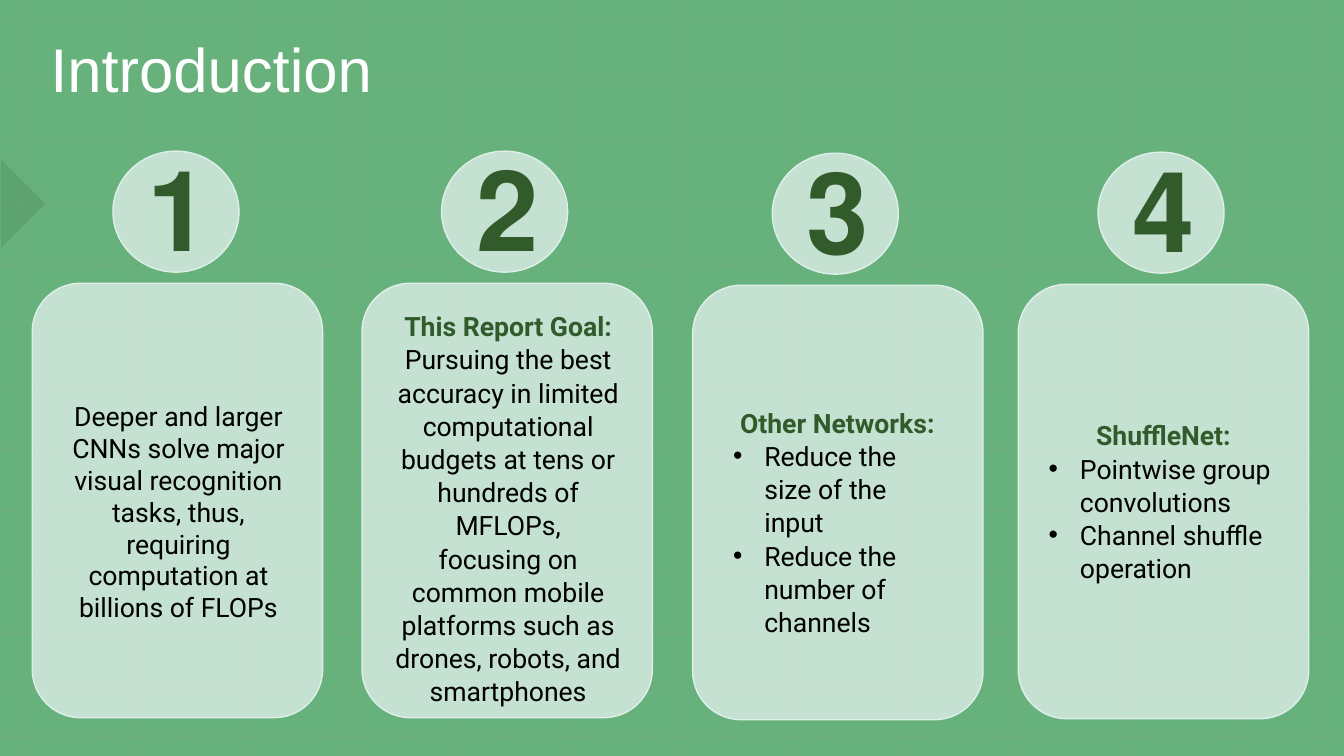
import pptx
import pptx.util
import pptx.oxml
import pptx.oxml.ns
import pptx.dml.color
import pptx.enum.dml
import pptx.enum.shapes
import pptx.enum.text

Inches = pptx.util.Inches
Pt = pptx.util.Pt
SHAPE = pptx.enum.shapes.MSO_SHAPE
ALIGN = pptx.enum.text.PP_ALIGN
ANCHOR = pptx.enum.text.MSO_ANCHOR
FIT = pptx.enum.text.MSO_AUTO_SIZE

WIDTH, HEIGHT = 13.33, 7.5
COLOURS = {"ground": "67B17C", "panel": "DFEFEA", "arrow": "2F5D3C", "grid": "A4A657",
           "accent": "325B2C", "body": "000000", "title": "FFFFFF"}

TITLE = "Introduction"
# left and top of the panel, left of the badge, place of the text, then the content
CARDS = [
    {"panel": (0.32, 2.81), "badge": 1.12, "text": (0.42, 3.78, 2.7, 2.59), "spacing": 1.0,
     "heading": None, "bullets": [],
     "body": "Deeper and larger CNNs solve major visual recognition tasks, thus, "
             "requiring computation at billions of FLOPs"},
    {"panel": (3.59, 2.81), "badge": 4.38, "text": (3.58, 2.87, 2.92, 4.34), "spacing": 1.04,
     "heading": "This Report Goal:", "bullets": [],
     "body": "Pursuing the best accuracy in limited computational budgets at tens or "
             "hundreds of MFLOPs,\vfocusing on common mobile platforms such as drones, "
             "robots, and smartphones"},
    {"panel": (6.87, 2.83), "badge": 7.66, "text": (7.05, 3.86, 2.51, 2.63), "spacing": 1.04,
     "heading": "Other Networks:", "body": None,
     "bullets": ["Reduce the size of the input", "Reduce the number of channels"]},
    {"panel": (10.1, 2.82), "badge": 10.89, "text": (10.21, 4.01, 2.66, 1.92), "spacing": 1.04,
     "heading": "ShuffleNet:", "body": None,
     "bullets": ["Pointwise group convolutions", "Channel shuffle operation"]},
]
PANEL_SIZE = (2.88, 4.31)
BADGE_SIZE = (1.25, 1.2)
BADGE_RISE = 1.31
NUMBER_SHIFT = (0.7, -0.17)
NUMBER_SIZE = (0.36, 1.45)
GRID_COLUMNS = [0.22 + 1.093 * i for i in range(12)] + [13.12]
GRID_ROWS = [0.19 + 0.609 * i for i in range(11)] + [6.83, 7.31]


def rgb(name):
    return pptx.dml.color.RGBColor.from_string(COLOURS[name])


def set_alpha(fill_parent, percent):
    colour = fill_parent.find(".//" + pptx.oxml.ns.qn("a:srgbClr"))
    alpha = pptx.oxml.parse_xml(
        f'<a:alpha {pptx.oxml.ns.nsdecls("a")} val="{percent * 1000}"/>')
    colour.append(alpha)


def add_block(kind, place, fill=None, alpha=100, outline=False):
    block = slide.shapes.add_shape(kind, *map(Inches, place))
    block.shadow.inherit = False
    if fill:
        block.fill.solid()
        block.fill.fore_color.rgb = rgb(fill)
        set_alpha(block.fill._xPr.find(pptx.oxml.ns.qn("a:solidFill")), alpha)
    else:
        block.fill.background()
    if outline:
        block.line.color.rgb = rgb("panel")
        block.line.width = Pt(1)
    else:
        block.line.fill.background()
    return block


def add_grid_line(x1, y1, x2, y2):
    rule = slide.shapes.add_connector(
        pptx.enum.shapes.MSO_CONNECTOR.STRAIGHT, *map(Inches, (x1, y1, x2, y2)))
    rule.line.color.rgb = rgb("grid")
    rule.line.width = Pt(1.5)
    rule.line.dash_style = pptx.enum.dml.MSO_LINE.ROUND_DOT
    properties = rule._element.spPr
    set_alpha(properties, 15)
    properties.append(pptx.oxml.parse_xml(f'<a:effectLst {pptx.oxml.ns.nsdecls("a")}/>'))


def write(paragraph, text, colour, **font_values):
    paragraph.text = text
    for run in paragraph.runs:
        for attribute, value in font_values.items():
            setattr(run.font, attribute, value)
        run.font.color.rgb = rgb(colour)


def add_bullet(paragraph):
    properties = paragraph._p.get_or_add_pPr()
    properties.set("marL", str(Inches(0.31)))
    properties.set("indent", str(-Inches(0.31)))
    for tag, key, value in (("buFont", "typeface", "Arial"), ("buChar", "char", "•")):
        properties.append(pptx.oxml.parse_xml(
            f'<a:{tag} {pptx.oxml.ns.nsdecls("a")} {key}="{value}"/>'))


def add_number(number, left, top):
    box = slide.shapes.add_textbox(*map(Inches, (left, top, *NUMBER_SIZE)))
    box.text_frame.word_wrap = True
    box.text_frame.auto_size = FIT.SHAPE_TO_FIT_TEXT
    paragraph = box.text_frame.paragraphs[0]
    paragraph.alignment = ALIGN.RIGHT
    paragraph._p.get_or_add_pPr().set("rtl", "1")
    write(paragraph, str(number), "accent", size=Pt(80), bold=True, name="Calibri")


def add_card_text(card):
    frame = add_block(SHAPE.ROUNDED_RECTANGLE, card["text"]).text_frame
    frame.word_wrap = True
    frame.auto_size = FIT.SHAPE_TO_FIT_TEXT
    frame.vertical_anchor = ANCHOR.MIDDLE
    lines = [(card["heading"], "accent", True, False), (card["body"], "body", False, False)]
    lines += [(bullet, "body", False, True) for bullet in card["bullets"]]
    lines = [line for line in lines if line[0]]
    for index, (text, colour, bold, bulleted) in enumerate(lines):
        paragraph = frame.add_paragraph() if index else frame.paragraphs[0]
        paragraph.line_spacing = card["spacing"]
        paragraph.alignment = ALIGN.LEFT if bulleted else ALIGN.CENTER
        if bulleted:
            add_bullet(paragraph)
        write(paragraph, text, colour, size=Pt(19), bold=bold, name="Roboto")


deck = pptx.Presentation()
deck.slide_width, deck.slide_height = Inches(WIDTH), Inches(HEIGHT)
slide = deck.slides.add_slide(deck.slide_layouts[6])
slide.background.fill.solid()
slide.background.fill.fore_color.rgb = rgb("ground")

arrow = add_block(SHAPE.RIGHT_TRIANGLE, (-0.3, 1.71, 0.62, 0.62), "arrow", 17)
arrow.rotation = 225
for x in GRID_COLUMNS:
    add_grid_line(x, 0, x, HEIGHT)
for y in GRID_ROWS:
    add_grid_line(0, y, WIDTH, y)

title = slide.shapes.add_textbox(*map(Inches, (0.4, 0.19, 5.42, 0.89))).text_frame
title.word_wrap = True
title.vertical_anchor = ANCHOR.MIDDLE
title.paragraphs[0].line_spacing = 1.1
write(title.paragraphs[0], TITLE, "title", size=Pt(44), name="Arial")

for number, card in enumerate(CARDS, start=1):
    badge_left, badge_top = card["badge"], card["panel"][1] - BADGE_RISE
    add_block(SHAPE.ROUNDED_RECTANGLE, (*card["panel"], *PANEL_SIZE), "panel", 78, True)
    add_block(SHAPE.OVAL, (badge_left, badge_top, *BADGE_SIZE), "panel", 78, True)
    add_number(number, badge_left + NUMBER_SHIFT[0], badge_top + NUMBER_SHIFT[1])
    add_card_text(card)

deck.save("out.pptx")
